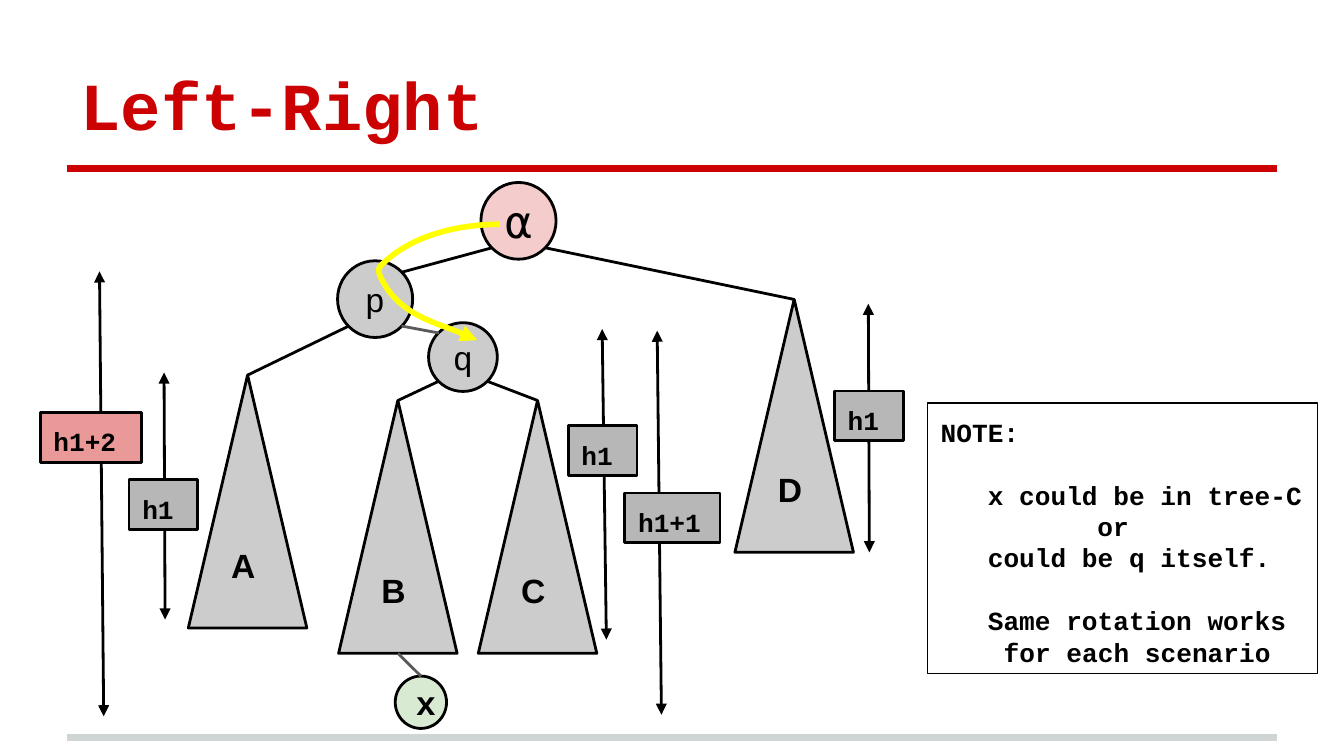
from dataclasses import dataclass

from lxml import etree
from pptx import Presentation
from pptx import util as u
from pptx.dml.color import RGBColor
from pptx.enum import shapes, text
from pptx.oxml import ns


@dataclass(frozen=True)
class Theme:
    red: str = "CC0202"
    footer: str = "CFD4D4"
    black: str = "000000"
    soft: str = "5B595A"
    node: str = "CCCCCC"
    label: str = "B7B7B7"
    unbalanced: str = "F4CCCC"
    tall: str = "EA9999"
    inserted: str = "D9EAD3"
    path_color: str = "FFFF00"
    mono: str = "Courier New"
    sans: str = "Arial"
    title_size: float = 36
    alpha_size: float = 24
    node_size: float = 18
    label_size: float = 14
    thin: float = 0.75
    stroke: float = 1.5
    curve: float = 3
    rule: float = 4


class Board:
    def __init__(self, slide, theme):
        self.slide, self.theme = slide, theme

    def style_line(self, line, color, width, head=False, tail=False):
        line.color.rgb = RGBColor.from_string(color)
        line.width = u.Pt(width)
        properties = line._get_or_add_ln()
        for name, wanted in (("headEnd", head), ("tailEnd", tail)):
            if wanted:
                etree.SubElement(properties, ns.qn("a:" + name), type="triangle")

    def add_words(self, shape, paragraphs, size, font=None, color=None, bold=True,
                  align=text.PP_ALIGN.LEFT, anchor=text.MSO_ANCHOR.MIDDLE):
        """Each paragraph is (words, left indent in cm, space before in points)."""
        frame = shape.text_frame
        frame.word_wrap = True
        frame.vertical_anchor = anchor
        frame.margin_left = frame.margin_right = u.Cm(0.25)
        frame.margin_top = frame.margin_bottom = u.Cm(0.25)
        for index, (words, indent, before) in enumerate(paragraphs):
            paragraph = frame.add_paragraph() if index else frame.paragraphs[0]
            paragraph.alignment = align
            if before:
                paragraph.space_before = u.Pt(before)
            if indent:
                paragraph._p.get_or_add_pPr().set("marL", str(u.Cm(indent)))
            run = paragraph.add_run()
            run.text = words
            run.font.size = u.Pt(size)
            run.font.name = font or self.theme.mono
            run.font.bold = bold
            run.font.color.rgb = RGBColor.from_string(color or self.theme.black)

    def title(self, words, box):
        shape = self.slide.shapes.add_textbox(*map(u.Cm, box))
        self.add_words(shape, [(words, 0, 0)], self.theme.title_size,
                       color=self.theme.red, anchor=text.MSO_ANCHOR.BOTTOM)

    def shape(self, kind, box, fill=None, width=None):
        shape = self.slide.shapes.add_shape(kind, *map(u.Cm, box))
        shape.shadow.inherit = False
        if fill:
            shape.fill.solid()
            shape.fill.fore_color.rgb = RGBColor.from_string(fill)
        else:
            shape.fill.background()
        self.style_line(shape.line, self.theme.black, width or self.theme.stroke)
        return shape

    def node(self, words, box, fill, size=None, bold=False,
             align=text.PP_ALIGN.CENTER):
        shape = self.shape(shapes.MSO_SHAPE.OVAL, box, fill)
        self.add_words(shape, [(words, 0, 0)], size or self.theme.node_size,
                       bold=bold, align=align)
        return shape

    def subtree(self, words, left, top):
        shape = self.shape(shapes.MSO_SHAPE.ISOSCELES_TRIANGLE,
                           (left, top, 2.24, 4.78), self.theme.node)
        self.add_words(shape, [(words, 0, 0)], self.theme.node_size, self.theme.sans)
        return shape

    def line(self, start, end, color=None, width=None, arrows=False):
        line = self.slide.shapes.add_connector(
            shapes.MSO_CONNECTOR.STRAIGHT, *start, *end)
        self.style_line(line.line, color or self.theme.black,
                        width or self.theme.stroke, arrows, arrows)
        etree.SubElement(line._element.spPr, ns.qn("a:effectLst"))

    def rule(self, top, color):
        self.line((u.Cm(1.27), u.Cm(top)), (u.Cm(24.13), u.Cm(top)),
                  color, self.theme.rule)

    def edge(self, parent, parent_site, child, child_site, color=None):
        ends = [(round(shape.left + shape.width * x), round(shape.top + shape.height * y))
                for shape, (x, y) in ((parent, parent_site), (child, child_site))]
        self.line(*ends, color)

    def height(self, words, start, end, box, fill):
        self.line(tuple(map(u.Cm, start)), tuple(map(u.Cm, end)), arrows=True)
        shape = self.shape(shapes.MSO_SHAPE.RECTANGLE, (*box, 0.94), fill)
        self.add_words(shape, [(words, 0, 0)], self.theme.label_size,
                       anchor=text.MSO_ANCHOR.TOP)

    def curve(self, points):
        """Draw a chain of cubic curves: a start, then three points per curve."""
        start, *rest = [tuple(map(u.Cm, point)) for point in points]
        builder = self.slide.shapes.build_freeform(*start)
        builder.add_line_segments(rest, close=False)
        shape = builder.convert_to_shape()
        shape.shadow.inherit = False
        shape.fill.background()
        self.style_line(shape.line, self.theme.path_color, self.theme.curve, tail=True)
        steps = list(shape._element.iter(ns.qn("a:lnTo")))
        outline = steps[0].getparent()
        for first in range(0, len(steps), 3):
            bend = etree.SubElement(outline, ns.qn("a:cubicBezTo"))
            for step in steps[first:first + 3]:
                bend.append(step[0])
                outline.remove(step)

    def note(self, paragraphs, box):
        shape = self.shape(shapes.MSO_SHAPE.RECTANGLE, box, width=self.theme.thin)
        self.add_words(shape, paragraphs, self.theme.label_size,
                       anchor=text.MSO_ANCHOR.TOP)
        shape.text_frame.margin_right = 0


theme = Theme()
presentation = Presentation()
presentation.slide_width, presentation.slide_height = u.Cm(25.4), u.Cm(14.29)
board = Board(presentation.slides.add_slide(presentation.slide_layouts[6]), theme)

# Heading and rules
board.rule(13.94, theme.footer)
board.rule(3.18, theme.red)
board.title("Left-Right", (1.27, 0.58, 22.86, 2.39))

# Nodes and subtrees
alpha = board.node("\u237a", (9.09, 3.45, 1.42, 1.45), theme.unbalanced, theme.alpha_size)
q = board.node("q", (8.1, 6.1, 1.3, 1.3), theme.node)
p = board.node("p", (6.38, 4.93, 1.42, 1.45), theme.node)
tree_a = board.subtree("A", 3.56, 7.09)
tree_b = board.subtree("B", 6.4, 7.57)
tree_d = board.subtree("D", 13.89, 5.66)
tree_c = board.subtree("C", 9.04, 7.57)
x = board.node("x", (7.47, 12.78, 0.97, 0.99), theme.inserted, bold=True,
               align=text.PP_ALIGN.LEFT)

# Edges, joined at fractions of each shape's box
TOP, BOTTOM = (0.5, 0), (0.5, 1)
UPPER_LEFT, UPPER_RIGHT = (0.15, 0.15), (0.85, 0.15)
LOWER_LEFT, LOWER_RIGHT = (0.15, 0.85), (0.85, 0.85)
for link in (
    (q, LOWER_LEFT, tree_b, TOP),
    (q, LOWER_RIGHT, tree_c, TOP),
    (p, LOWER_LEFT, tree_a, TOP),
    (alpha, LOWER_LEFT, p, UPPER_RIGHT),
    (alpha, LOWER_RIGHT, tree_d, TOP),
    (tree_b, BOTTOM, x, TOP, theme.soft),
    (p, LOWER_RIGHT, q, UPPER_LEFT, theme.soft),
):
    board.edge(*link)

# Height markers
for marker in (
    ("h1", (3.1, 7.04), (3.12, 11.71), (2.44, 9.07, 1.3), theme.label),
    ("h1", (11.38, 6.22), (11.46, 12.09), (10.74, 8.05, 1.3), theme.label),
    ("h1+1", (12.42, 6.25), (12.5, 13.51), (11.81, 9.32, 1.8), theme.label),
    ("h1+2", (1.88, 5.13), (1.96, 13.54), (0.76, 7.8, 1.91), theme.tall),
    ("h1", (16.41, 5.74), (16.43, 10.44), (15.77, 7.39, 1.3), theme.label),
):
    board.height(*marker)

# Insertion path
board.curve([(9.45, 4.24), (8.66, 4.24), (7.75, 4.45), (7.19, 5.03),
             (7.09, 5.13), (7.26, 5.36), (7.34, 5.49),
             (7.72, 5.99), (8.43, 6.15), (9.02, 6.43)])

# Note
GAP = 16.8
board.note([("NOTE:", 0, 0), ("x could be in tree-C", 0.89, GAP), ("or", 2.96, 0),
            ("could be q itself.", 0.89, 0), ("Same rotation works", 0.89, GAP),
            ("for each scenario", 1.19, 0)], (17.53, 7.62, 7.37, 5.11))

presentation.save("out.pptx")
